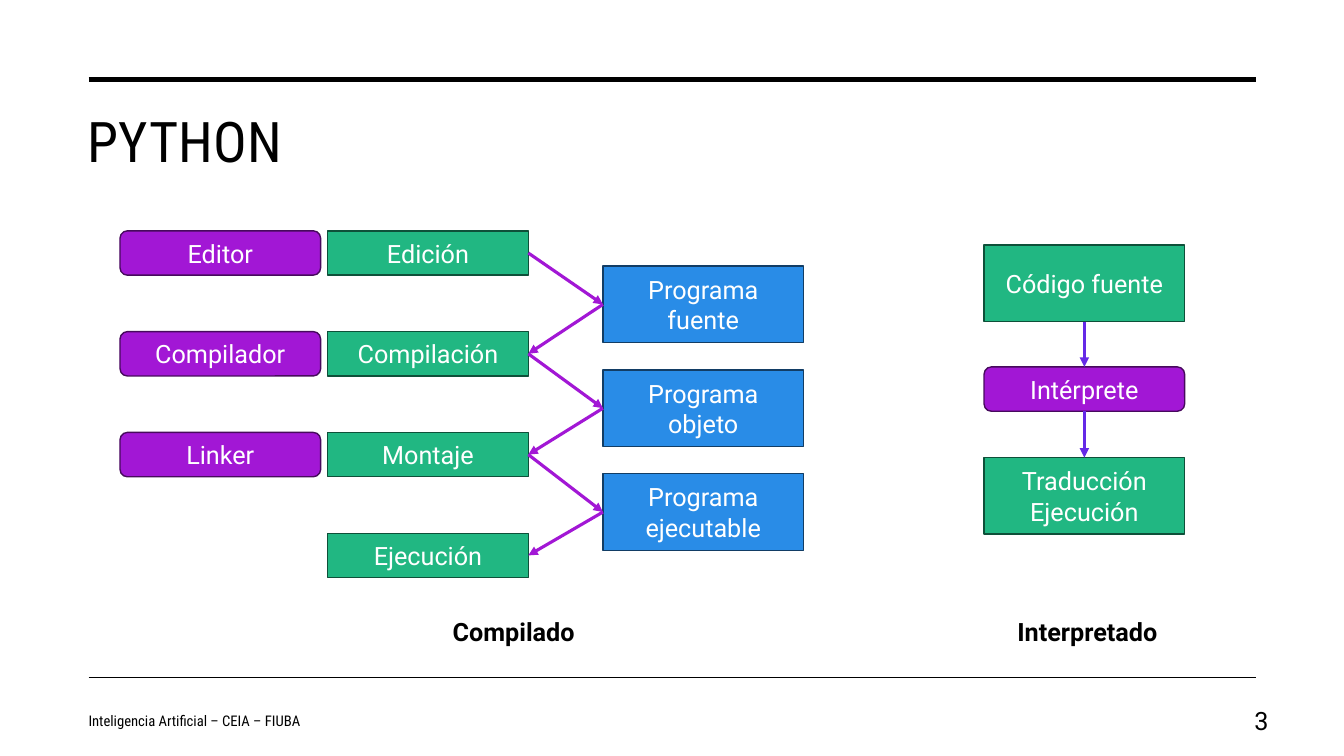
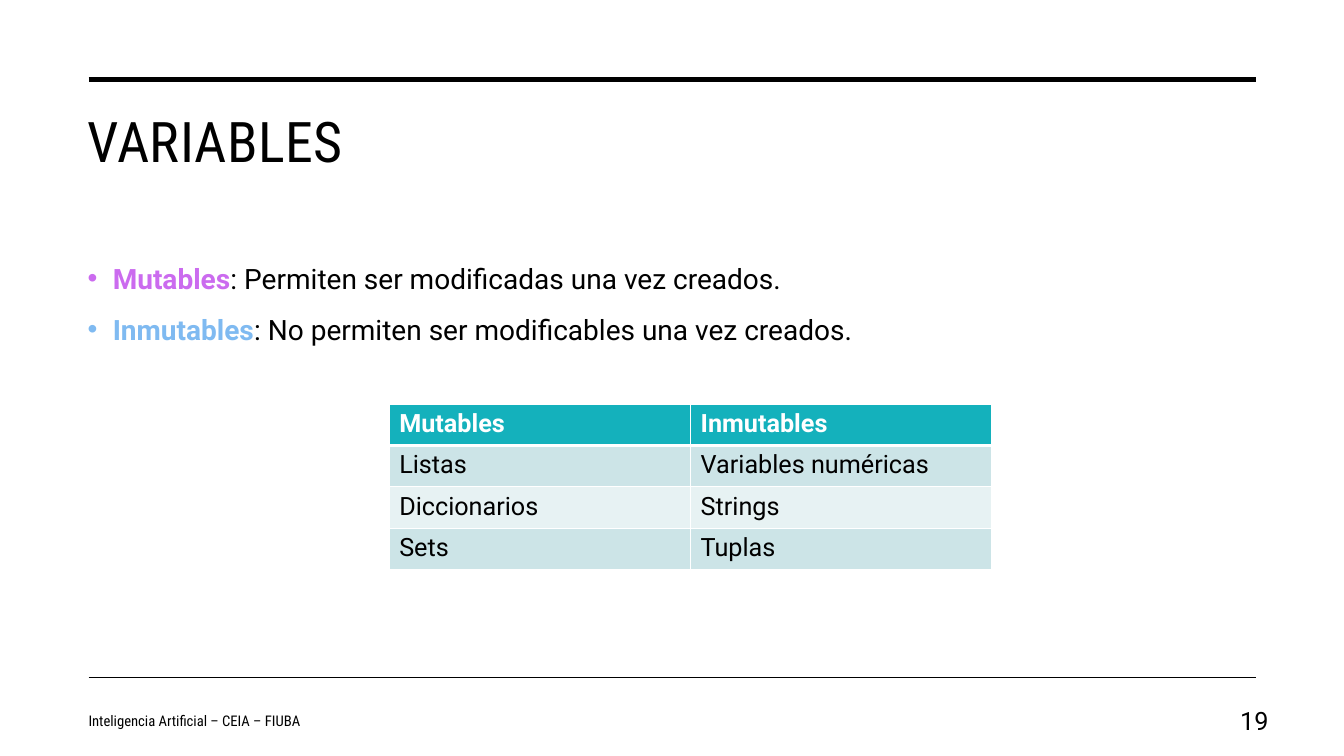
"""Build two Python course slides: compiled versus interpreted, and variable mutability."""
import lxml.etree
import pptx
import pptx.dml.color
import pptx.enum.shapes
import pptx.enum.text
import pptx.oxml
import pptx.oxml.ns
import pptx.util

Inches, Pt = pptx.util.Inches, pptx.util.Pt
ALIGN = pptx.enum.text.PP_ALIGN
ANCHOR = pptx.enum.text.MSO_ANCHOR
SHAPE = pptx.enum.shapes.MSO_SHAPE
STRAIGHT = pptx.enum.shapes.MSO_CONNECTOR.STRAIGHT
qn = pptx.oxml.ns.qn


class Theme:
    """Colours, fonts and type sizes."""
    heading_font, body_font = "Roboto Condensed", "Roboto"
    title, bullet, label, footer = 40, 20, 18, 10.5
    black, white = "000000", "FFFFFF"
    purple, violet, lilac, sky = "A217D5", "6529E7", "CB6BEF", "7FBAF1"
    header, bands = "14B1BC", ("CCE4E7", "E7F2F3")
    stage = (SHAPE.RECTANGLE, "21B782", "0E5039")
    product = (SHAPE.RECTANGLE, "298CE7", "123D65")
    tool = (SHAPE.ROUNDED_RECTANGLE, purple, "470A5D")


FOOTER = "Inteligencia Artificial – CEIA – FIUBA"
STAGES = ["Edición", "Compilación", "Montaje", "Ejecución"]
PRODUCTS = ["Programa fuente", "Programa objeto", "Programa ejecutable"]
TOOLS = ["Editor", "Compilador", "Linker"]
INTERPRETED = [
    ("Código fuente", Theme.stage, 2.43, 0.76),
    ("Intérprete", Theme.tool, 3.64, 0.44),
    ("Traducción Ejecución", Theme.stage, 4.54, 0.76),
]
CAPTIONS = [("Compilado", 4.38, 1.43), ("Interpretado", 9.99, 1.59)]
DEFINITIONS = [
    ("Mutables", Theme.lilac, ": Permiten ser modificadas una vez creados."),
    ("Inmutables", Theme.sky, ": No permiten ser modificables una vez creados."),
]
MUTABILITY = [
    ("Mutables", "Inmutables"),
    ("Listas", "Variables numéricas"),
    ("Diccionarios", "Strings"),
    ("Sets", "Tuplas"),
]
BOX_WIDTH, LOW, TALL = 1.99, 0.44, 0.76
TOP, BOTTOM, LEFT, RIGHT = 0, 2, 1, 3


def rgb(colour):
    return pptx.dml.color.RGBColor.from_string(colour)


def add_run(paragraph, text, size, colour=Theme.black, bold=False, font=Theme.body_font):
    run = paragraph.add_run()
    run.text = text
    run.font.name, run.font.size, run.font.bold = font, Pt(size), bold
    run.font.color.rgb = rgb(colour)
    return run


def add_text_frame(slide, left, top, width, height, anchor=ANCHOR.TOP, wrap=True):
    frame = slide.shapes.add_textbox(*map(Inches, (left, top, width, height))).text_frame
    frame.word_wrap, frame.vertical_anchor = wrap, anchor
    return frame


def add_line(slide, colour, weight, ends=(0, 0, 0, 0), arrow=False):
    line = slide.shapes.add_connector(STRAIGHT, *map(Inches, ends))
    line.line.color.rgb, line.line.width = rgb(colour), Pt(weight)
    if arrow:
        lxml.etree.SubElement(line.line._get_or_add_ln(), qn("a:tailEnd"), type="triangle")
    lxml.etree.SubElement(line._element.spPr, qn("a:effectLst"))
    return line


def add_arrow(slide, colour, source, source_side, target, target_side):
    arrow = add_line(slide, colour, 2.25, arrow=True)
    arrow.begin_connect(source, source_side)
    arrow.end_connect(target, target_side)


def add_box(slide, text, style, left, top, height):
    outline, fill, border = style
    box = slide.shapes.add_shape(outline, *map(Inches, (left, top, BOX_WIDTH, height)))
    box.shadow.inherit = False
    box.fill.solid()
    box.fill.fore_color.rgb = rgb(fill)
    box.line.color.rgb, box.line.width = rgb(border), Pt(1)
    box.text_frame.word_wrap, box.text_frame.vertical_anchor = True, ANCHOR.MIDDLE
    paragraph = box.text_frame.paragraphs[0]
    paragraph.alignment = ALIGN.CENTER
    add_run(paragraph, text, Theme.label, Theme.white)
    return box


def add_column(slide, texts, style, left, first, step, height):
    return [add_box(slide, text, style, left, first + row * step, height)
            for row, text in enumerate(texts)]


def add_base_slide(deck, title, number):
    slide = deck.slides.add_slide(deck.slide_layouts[6])
    for y, weight in ((0.79, 3.5), (6.72, 1)):
        add_line(slide, Theme.black, weight, (0.88, y, 12.46, y))
    heading = add_text_frame(slide, 0.77, 1.01, 11.69, 1.5).paragraphs[0]
    title_run = add_run(heading, title, Theme.title, font=Theme.heading_font)
    title_run._r.get_or_add_rPr().set("spc", "30")
    footer = add_text_frame(slide, 0.78, 6.95, 4.96, 0.4, ANCHOR.MIDDLE).paragraphs[0]
    add_run(footer, FOOTER, Theme.footer, font=Theme.heading_font)
    page = add_text_frame(slide, 11.94, 6.95, 0.74, 0.4, ANCHOR.MIDDLE).paragraphs[0]
    page.alignment = ALIGN.RIGHT
    add_run(page, str(number), Theme.label)
    return slide


def add_definitions(slide):
    frame = add_text_frame(slide, 0.77, 2.51, 11.69, 1.3)
    for index, (term, colour, meaning) in enumerate(DEFINITIONS):
        paragraph = frame.add_paragraph() if index else frame.paragraphs[0]
        properties = paragraph._p.get_or_add_pPr()
        properties.set("marL", str(Inches(0.25)))
        properties.set("indent", str(-Inches(0.25)))
        lxml.etree.SubElement(properties, qn("a:buFont"), typeface="Arial")
        lxml.etree.SubElement(properties, qn("a:buChar"), char="•")
        paragraph.line_spacing = 1.1
        if index:
            paragraph.space_before = Pt(10)
        add_run(paragraph, term, Theme.bullet, colour, True)
        add_run(paragraph, meaning, Theme.bullet)


def set_borders(cell, weights):
    properties = cell._tc.get_or_add_tcPr()
    for side, weight in weights.items():
        border = lxml.etree.SubElement(properties, qn(f"a:ln{side}"), w=str(Pt(weight)))
        fill = lxml.etree.SubElement(border, qn("a:solidFill"))
        lxml.etree.SubElement(fill, qn("a:srgbClr"), val=Theme.white)


def add_mutability_table(slide):
    rows, columns = len(MUTABILITY), len(MUTABILITY[0])
    size = (2.99 * columns, 0.41 * rows)
    table = slide.shapes.add_table(rows, columns, *map(Inches, (3.86, 4.01, *size))).table
    for row, texts in enumerate(MUTABILITY):
        is_header = row == 0
        fill = Theme.header if is_header else Theme.bands[(row - 1) % 2]
        colour = Theme.white if is_header else Theme.black
        for column, text in enumerate(texts):
            cell = table.cell(row, column)
            set_borders(cell, {"L": 1, "R": 1, "T": 3 if row == 1 else 1,
                               "B": 3 if is_header else 1})
            cell.fill.solid()
            cell.fill.fore_color.rgb = rgb(fill)
            add_run(cell.text_frame.paragraphs[0], text, Theme.label, colour, is_header)


def build_python_slide(deck):
    slide = add_base_slide(deck, "PYTHON", 3)
    stages = add_column(slide, STAGES, Theme.stage, 3.25, 2.29, 1, LOW)
    products = add_column(slide, PRODUCTS, Theme.product, 5.98, 2.64, 1.03, TALL)
    add_column(slide, TOOLS, Theme.tool, 1.19, 2.29, 1, LOW)
    for stage, product, next_stage in zip(stages, products, stages[1:]):
        add_arrow(slide, Theme.purple, stage, RIGHT, product, LEFT)
        add_arrow(slide, Theme.purple, product, LEFT, next_stage, RIGHT)
    steps = [add_box(slide, text, style, 9.76, top, height)
             for text, style, top, height in INTERPRETED]
    for step, next_step in zip(steps, steps[1:]):
        add_arrow(slide, Theme.violet, step, BOTTOM, next_step, TOP)
    for text, left, width in CAPTIONS:
        caption = add_text_frame(slide, left, 6.07, width, 0.4, wrap=False).paragraphs[0]
        caption.alignment = ALIGN.CENTER
        add_run(caption, text, Theme.label, bold=True)


def build_variables_slide(deck):
    slide = add_base_slide(deck, "VARIABLES", 19)
    add_definitions(slide)
    add_mutability_table(slide)


def main():
    deck = pptx.Presentation()
    deck.slide_width, deck.slide_height = Inches(13.33), Inches(7.5)
    build_python_slide(deck)
    build_variables_slide(deck)
    deck.save("out.pptx")


if __name__ == "__main__":
    main()
